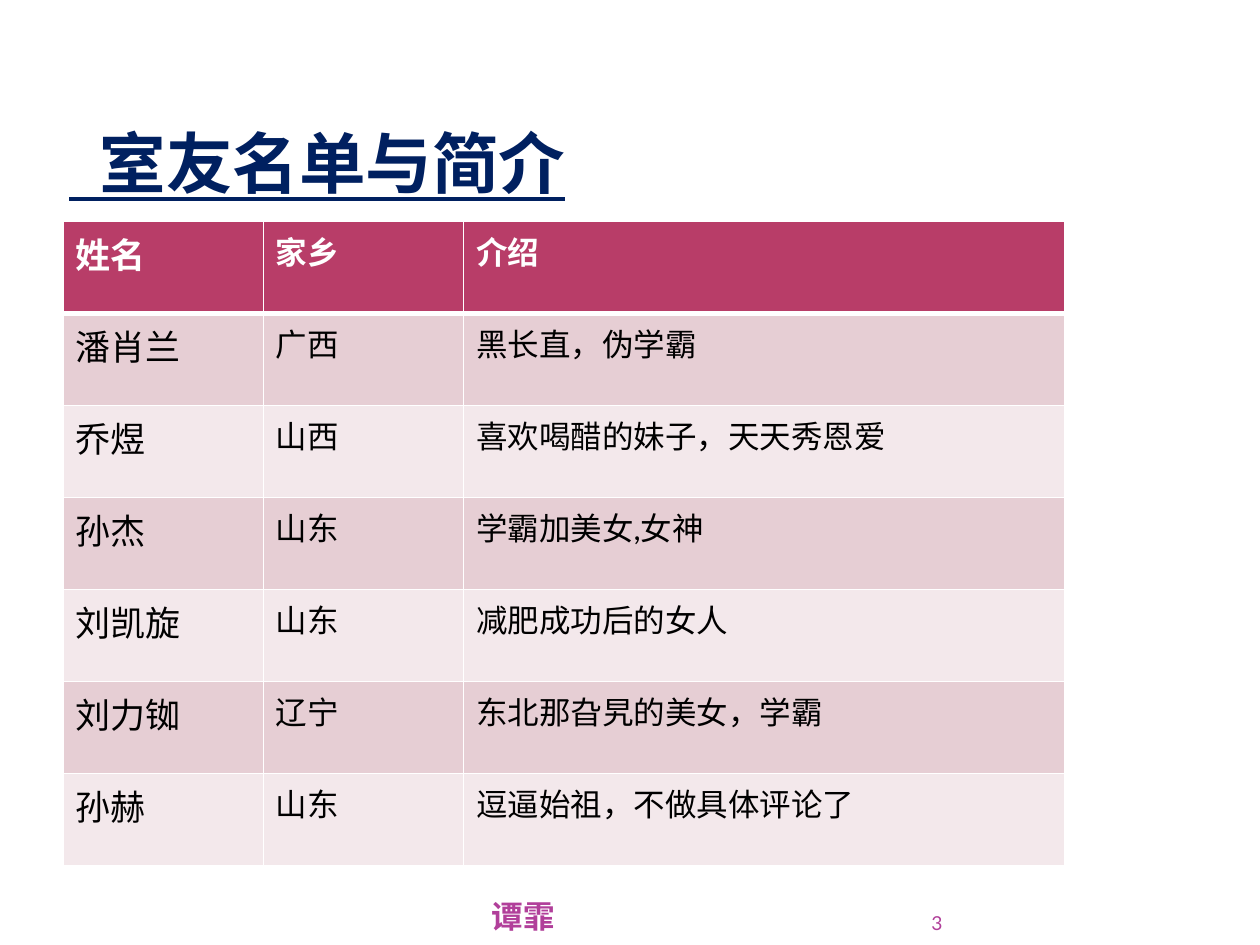
import dataclasses

import pptx
import pptx.dml.color
import pptx.enum.text
import pptx.oxml
import pptx.oxml.ns
import pptx.util

WIDTH, HEIGHT = 10, 7.5
LEFT = 0.05
COLUMN = 1.59
COLUMN_SPANS = (1, 1, 3)
ROW = 0.73
HEADER_FILL = "B83D68"
BAND_FILLS = ("F3E8EB", "E6CED4")
SIZES = (20, 18, 18)
ROOMMATES = (
    ("姓名", "家乡", "介绍"),
    ("潘肖兰", "广西", "黑长直，伪学霸"),
    ("乔煜", "山西", "喜欢喝醋的妹子，天天秀恩爱"),
    ("孙杰", "山东", "学霸加美女,女神"),
    ("刘凯旋", "山东", "减肥成功后的女人"),
    ("刘力铷", "辽宁", "东北那旮旯的美女，学霸"),
    ("孙赫", "山东", "逗逼始祖，不做具体评论了"),
)


@dataclasses.dataclass
class Label:
    text: str
    left: float
    top: float
    width: float
    height: float
    inset: float
    align: pptx.enum.text.PP_ALIGN
    color: str
    font: dict


RIGHT = pptx.enum.text.PP_ALIGN.RIGHT
LABELS = (
    Label("  室友名单与简介", LEFT, 0.047, 0.792, 0.167, 0.05,
          pptx.enum.text.PP_ALIGN.LEFT, "002060",
          {"size": pptx.util.Pt(38), "bold": True, "underline": True}),
    Label("谭霏", LEFT, 0.956, 0.4, 0.033, 0.1, RIGHT, "B13F9A",
          {"size": pptx.util.Pt(18), "bold": True}),
    Label("3", 0.684, 0.956, 0.064, 0.033, 0, RIGHT, "B13F9A",
          {"size": pptx.util.Pt(11), "bold": False}),
)


def rgb(value: str) -> pptx.dml.color.RGBColor:
    return pptx.dml.color.RGBColor.from_string(value)


def across(share: float) -> int:
    return pptx.util.Inches(share * WIDTH)


def down(share: float) -> int:
    return pptx.util.Inches(share * HEIGHT)


def write(p, text: str, color: str, font: dict) -> None:
    r = p.add_run()
    r.text = text
    r.font.color.rgb = rgb(color)
    for name, value in {"name": "Lato", **font}.items():
        setattr(r.font, name, value)


def add_label(s, label: Label) -> None:
    sp = s.shapes.add_textbox(across(label.left), down(label.top),
                              across(label.width), down(label.height))
    tf = sp.text_frame
    inset = pptx.util.Inches(label.inset)
    frame = {"word_wrap": True, "margin_left": inset, "margin_right": inset,
             "margin_top": 0, "margin_bottom": 0,
             "vertical_anchor": pptx.enum.text.MSO_ANCHOR.BOTTOM}
    for name, value in frame.items():
        setattr(tf, name, value)
    p = tf.paragraphs[0]
    p.alignment = label.align
    write(p, label.text, label.color, label.font)


def add_borders(cell, widths: dict) -> None:
    tc_pr = cell._tc.get_or_add_tcPr()
    for i, (side, width) in enumerate(widths.items()):
        tc_pr.insert(i, pptx.oxml.parse_xml(
            f'<a:ln{side} {pptx.oxml.ns.nsdecls("a")} w="{pptx.util.Pt(width)}">'
            f'<a:solidFill><a:srgbClr val="FFFFFF"/></a:solidFill></a:ln{side}>'))


def add_roommates(s) -> None:
    table = s.shapes.add_table(
        len(ROOMMATES), len(COLUMN_SPANS), across(LEFT), pptx.util.Inches(1.76),
        pptx.util.Inches(COLUMN * sum(COLUMN_SPANS)),
        pptx.util.Inches(ROW * len(ROOMMATES))).table
    for column, span in zip(table.columns, COLUMN_SPANS):
        column.width = pptx.util.Inches(COLUMN * span)
    for i, texts in enumerate(ROOMMATES):
        header = i == 0
        table.rows[i].height = pptx.util.Inches(ROW)
        for j, (text, size) in enumerate(zip(texts, SIZES)):
            cell = table.cell(i, j)
            cell.fill.solid()
            cell.fill.fore_color.rgb = rgb(HEADER_FILL if header else BAND_FILLS[i % 2])
            add_borders(cell, {"L": 1, "R": 1, "T": 3 if i == 1 else 1,
                               "B": 3 if header else 1})
            write(cell.text_frame.paragraphs[0], text,
                  "FFFFFF" if header else "000000",
                  {"size": pptx.util.Pt(size), "bold": header})


def main() -> None:
    prs = pptx.Presentation()
    prs.slide_width, prs.slide_height = across(1), down(1)
    s = prs.slides.add_slide(prs.slide_layouts[6])
    add_roommates(s)
    for label in LABELS:
        add_label(s, label)
    prs.save("out.pptx")


if __name__ == "__main__":
    main()
